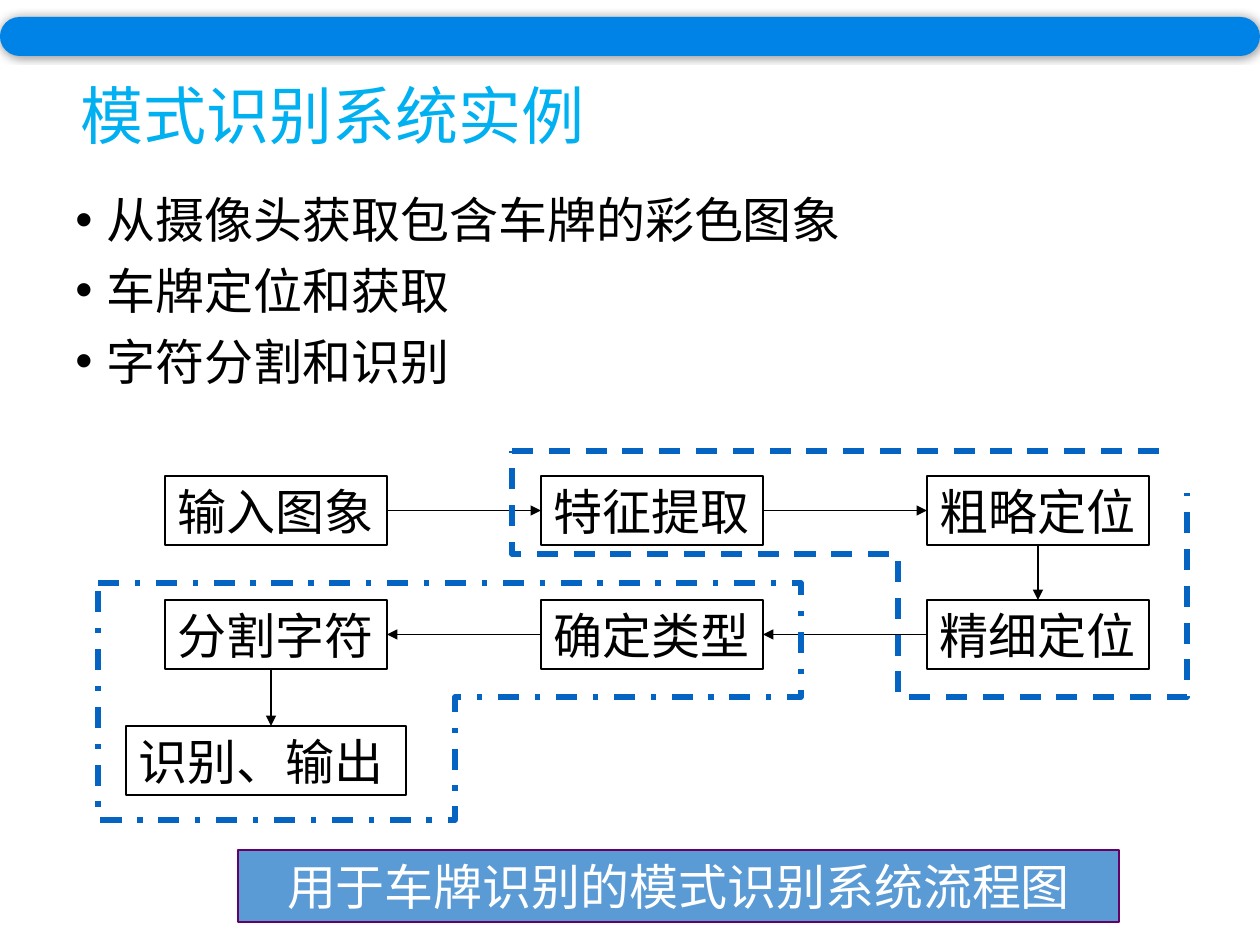
from lxml import etree
from pptx import Presentation
from pptx.dml.color import RGBColor
from pptx.enum.dml import MSO_LINE
from pptx.enum.shapes import MSO_CONNECTOR, MSO_SHAPE
from pptx.enum.text import MSO_ANCHOR, PP_ALIGN
from pptx.oxml.ns import qn
from pptx.util import Emu, Pt

STRAIGHT = MSO_CONNECTOR.STRAIGHT
RECT, ROUND = MSO_SHAPE.RECTANGLE, MSO_SHAPE.ROUNDED_RECTANGLE
DASH, DASH_DOT = MSO_LINE.DASH, MSO_LINE.DASH_DOT
MIDDLE = MSO_ANCHOR.MIDDLE
LEFT, CENTER = PP_ALIGN.LEFT, PP_ALIGN.CENTER
TOP_SIDE, LEFT_SIDE, BOTTOM_SIDE, RIGHT_SIDE = range(4)

BLACK = RGBColor(0x00, 0x00, 0x00)
WHITE = RGBColor(0xFF, 0xFF, 0xFF)
CYAN = RGBColor(0x00, 0xB0, 0xF0)
BAR_BLUE = RGBColor(0x00, 0x83, 0xE6)
OUTLINE_BLUE = RGBColor(0x05, 0x63, 0xC1)
CAPTION_BLUE = RGBColor(0x5B, 0x9B, 0xD5)
PURPLE = RGBColor(0x66, 0x00, 0x66)
FONT = "Noto Sans CJK SC"
SCALE = 914400 / 126


def px(*values):
    return [Emu(round(v * SCALE)) for v in values]


def format_text(tf, size, color, align):
    for p in tf.paragraphs:
        p.alignment = align
        for r in p.runs:
            r.font.size = Pt(size)
            r.font.name = FONT
            r.font.color.rgb = color
            ea = etree.SubElement(r.font._element, qn("a:ea"))
            ea.set("typeface", FONT)


prs = Presentation()
prs.slide_width, prs.slide_height = px(1260, 945)
s = prs.slides.add_slide(prs.slide_layouts[5])
shapes = s.shapes

title = shapes.title
title.left, title.top, title.width, title.height = px(68, 25, 798, 189)
tf = title.text_frame
tf.text = "模式识别系统实例"
tf.vertical_anchor = MIDDLE
tf.paragraphs[0].line_spacing = 0.9
format_text(tf, 36, CYAN, LEFT)

body = shapes.add_textbox(*px(63, 189, 963, 265))
tf = body.text_frame
tf.word_wrap = True
tf.text = "从摄像头获取包含车牌的彩色图象\n车牌定位和获取\n字符分割和识别"
format_text(tf, 28, BLACK, LEFT)
for p in tf.paragraphs:
    p.line_spacing = Pt(30.5)
    p.space_before = Pt(10)
    pPr = p._p.get_or_add_pPr()
    pPr.set("marL", "228600")
    pPr.set("indent", "-228600")
    etree.SubElement(pPr, qn("a:buFont")).set("typeface", "Arial")
    etree.SubElement(pPr, qn("a:buChar")).set("char", "•")

COLS = [165, 541, 927]
ROWS = [476, 600]
STEPS = [["输入图象", "特征提取", "粗略定位"], ["分割字符", "确定类型", "精细定位"]]
steps = [
    (text, x, y, 222) for y, names in zip(ROWS, STEPS) for x, text in zip(COLS, names)
]
steps.append(("识别、输出", 126, 726, 280))
boxes = {}
for text, x, y, w in steps:
    sp = shapes.add_shape(RECT, *px(x, y, w, 69))
    sp.shadow.inherit = False
    sp.fill.background()
    sp.line.color.rgb = BLACK
    sp.line.width = Pt(0.75)
    tf = sp.text_frame
    tf.word_wrap = False
    tf.vertical_anchor = MIDDLE
    tf.text = text
    format_text(tf, 28, BLACK, LEFT)
    boxes[text] = sp

arrows = []
for start, start_side, end, end_side in [
    ("输入图象", RIGHT_SIDE, "特征提取", LEFT_SIDE),
    ("特征提取", RIGHT_SIDE, "粗略定位", LEFT_SIDE),
    ("粗略定位", BOTTOM_SIDE, "精细定位", TOP_SIDE),
    ("精细定位", LEFT_SIDE, "确定类型", RIGHT_SIDE),
    ("确定类型", LEFT_SIDE, "分割字符", RIGHT_SIDE),
]:
    arrow = shapes.add_connector(STRAIGHT, 0, 0, 0, 0)
    arrow.begin_connect(boxes[start], start_side)
    arrow.end_connect(boxes[end], end_side)
    arrows.append(arrow)
arrows.append(shapes.add_connector(STRAIGHT, *px(271, 669, 271, 726)))
for arrow in arrows:
    arrow.line.color.rgb = BLACK
    arrow.line.width = Pt(0.75)
    ln = arrow.line._get_or_add_ln()
    etree.SubElement(ln, qn("a:tailEnd")).set("type", "triangle")
    etree.SubElement(arrow._element.spPr, qn("a:effectLst"))

LOCATING = [(512, 451), (1187, 451), (1187, 697), (898, 697), (898, 554), (512, 554)]
READING = [(98, 583), (801, 583), (801, 697), (455, 697), (455, 820), (98, 820)]
for points, dash in [(LOCATING, DASH), (READING, DASH_DOT)]:
    builder = shapes.build_freeform(*points[0], scale=SCALE)
    builder.add_line_segments(points[1:], close=True)
    sp = builder.convert_to_shape()
    sp.shadow.inherit = False
    sp.fill.background()
    sp.line.color.rgb = OUTLINE_BLUE
    sp.line.width = Pt(3)
    sp.line.dash_style = dash

mask = shapes.add_shape(RECT, *px(1167, 0, 64, 492))
mask.shadow.inherit = False
mask.fill.solid()
mask.fill.fore_color.rgb = WHITE
mask.line.color.rgb = WHITE
mask.line.width = Pt(1)

bar = shapes.add_shape(ROUND, *px(0, 17, 1260, 39))
bar.adjustments[0] = 0.5
bar.fill.solid()
bar.fill.fore_color.rgb = BAR_BLUE
bar.line.fill.background()
bar.shadow.inherit = False
effects = bar._element.spPr.find(qn("a:effectLst"))
shadow = etree.SubElement(effects, qn("a:outerShdw"), blurRad="63500", dist="0", dir="0")
color = etree.SubElement(shadow, qn("a:srgbClr"), val="000000")
etree.SubElement(color, qn("a:alpha"), val="40000")

caption = shapes.add_shape(RECT, *px(238, 850, 881, 72))
caption.shadow.inherit = False
caption.fill.solid()
caption.fill.fore_color.rgb = CAPTION_BLUE
caption.line.color.rgb = PURPLE
caption.line.width = Pt(0.75)
tf = caption.text_frame
tf.vertical_anchor = MIDDLE
tf.text = "用于车牌识别的模式识别系统流程图"
format_text(tf, 28, WHITE, CENTER)

prs.save("out.pptx")
